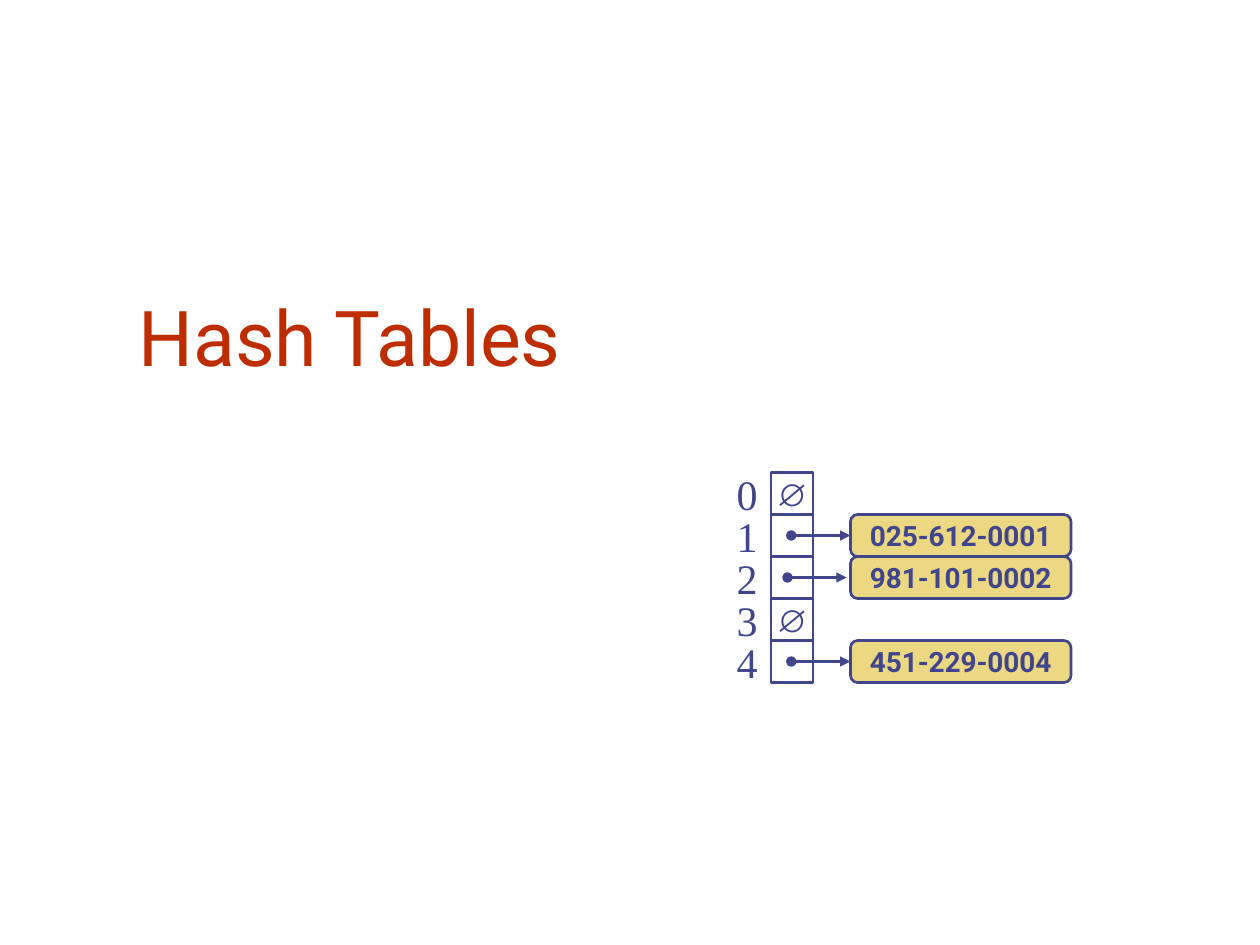
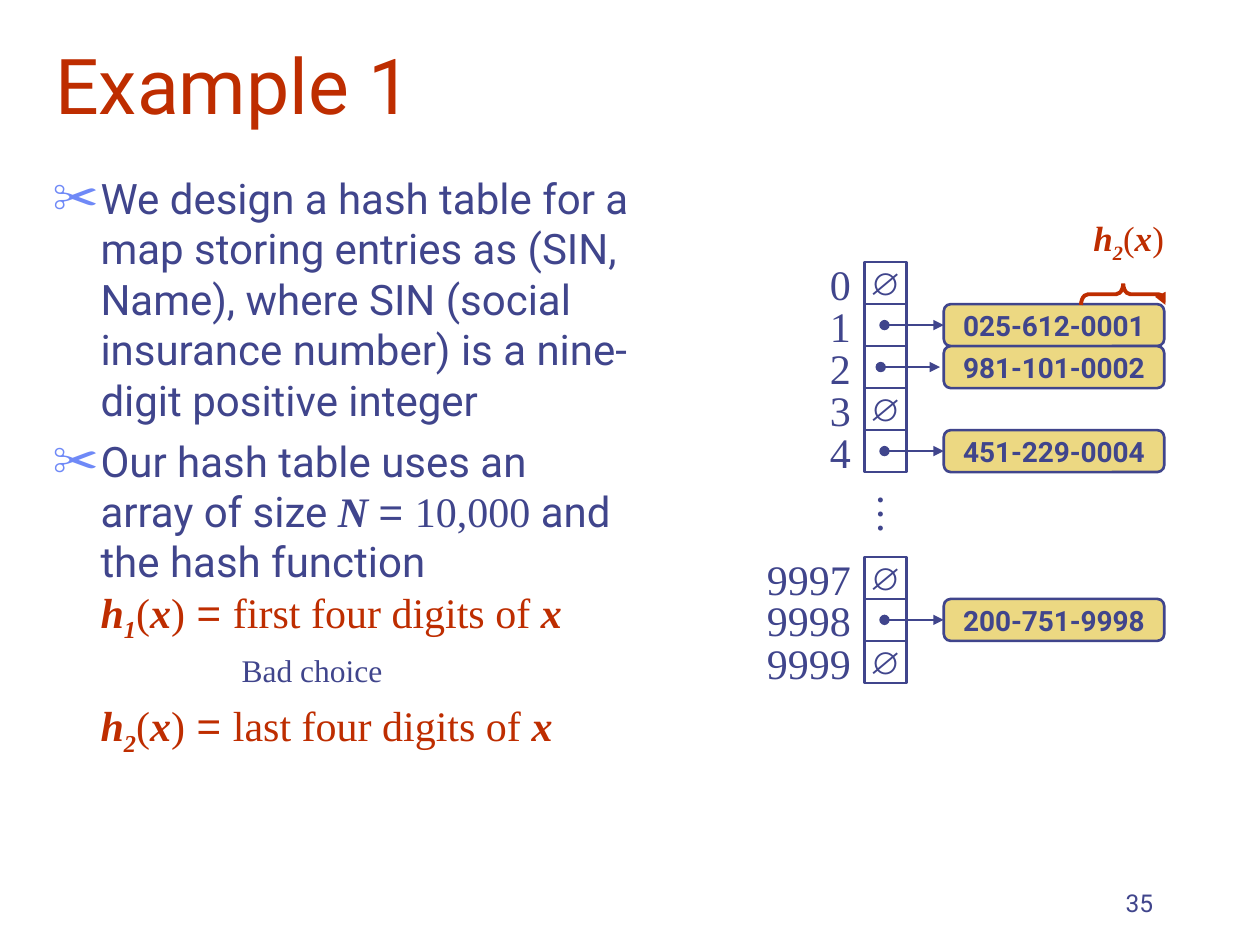
import dataclasses
import typing

import pptx
import pptx.dml.color
import pptx.enum.shapes
import pptx.enum.text
import pptx.oxml
import pptx.oxml.ns
import pptx.util

Inches = pptx.util.Inches
Pt = pptx.util.Pt
Shapes = pptx.enum.shapes.MSO_SHAPE
Align = pptx.enum.text.PP_ALIGN
Anchor = pptx.enum.text.MSO_ANCHOR
AutoSize = pptx.enum.text.MSO_AUTO_SIZE

COLORS = {"title": "BE2D00", "ink": "40458C", "entry": "ECD882", "bullet": "6F89F7"}
SANS, SERIF, SYMBOL = "Roboto", "Times New Roman", "Arial"
ROW = 1 / 3
LINE_WIDTH = 1.5


@dataclasses.dataclass(frozen=True)
class Span:
    """A stretch of text in one style."""
    text: str
    font: str = SANS
    size: float = 24
    color: str = "ink"
    bold: bool = False
    italic: bool = False
    subscript: bool = False
    break_after: bool = False


@dataclasses.dataclass(frozen=True)
class Block:
    """A paragraph with its layout."""
    spans: typing.Sequence[Span]
    align: typing.Any = Align.LEFT
    before: float = 0
    margin: float = 0
    indent: float = 0
    bullet: str = ""


@dataclasses.dataclass(frozen=True)
class Slot:
    """One row of the hash table; without a key it holds the empty sign."""
    index: str
    key: str = ""
    arrow_shift: float = 0


@dataclasses.dataclass(frozen=True)
class Box:
    left: float
    top: float
    width: float
    height: float

    def lengths(self) -> list:
        return [Inches(v) for v in (self.left, self.top, self.width, self.height)]


FIRST_SLOTS = [
    Slot("0"),
    Slot("1", "025-612-0001"),
    Slot("2", "981-101-0002", -0.03),
    Slot("3"),
    Slot("4", "451-229-0004"),
]
LAST_SLOTS = [Slot("9997"), Slot("9998", "200-751-9998"), Slot("9999")]


def rgb(name: str) -> pptx.dml.color.RGBColor:
    return pptx.dml.color.RGBColor.from_string(COLORS[name])


def drawing_element(tag: str, **attributes: str):
    element = pptx.oxml.parse_xml(f"<a:{tag} {pptx.oxml.ns.nsdecls('a')}/>")
    for name, value in attributes.items():
        element.set(name, value)
    return element


def set_values(target, values: dict) -> None:
    for name, value in values.items():
        setattr(target, name, value)


def add_bullet(properties, mark: str) -> None:
    color = drawing_element("buClr")
    color.append(drawing_element("srgbClr", val=COLORS["bullet"]))
    for part in (color, drawing_element("buSzPct", val="110000"),
                 drawing_element("buFont", typeface=SYMBOL),
                 drawing_element("buChar", char=mark)):
        properties.append(part)


def write(shape, blocks: typing.Sequence[Block], anchor=Anchor.TOP, wrap: bool = True) -> None:
    frame = shape.text_frame
    set_values(frame, {"word_wrap": wrap, "vertical_anchor": anchor})
    for number, block in enumerate(blocks):
        paragraph = frame.add_paragraph() if number else frame.paragraphs[0]
        set_values(paragraph, {"alignment": block.align, "space_before": Pt(block.before)})
        properties = paragraph._p.get_or_add_pPr()
        properties.set("marL", str(Inches(block.margin)))
        properties.set("indent", str(Inches(block.indent)))
        if block.bullet:
            add_bullet(properties, block.bullet)
        for span in block.spans:
            run = paragraph.add_run()
            run.text = span.text
            set_values(run.font, {"name": span.font, "size": Pt(span.size),
                                  "bold": span.bold, "italic": span.italic})
            run.font.color.rgb = rgb(span.color)
            if span.subscript:
                run._r.get_or_add_rPr().set("baseline", "-25000")
            if span.break_after:
                paragraph.add_line_break()


def add_text(slide, box: Box, blocks: typing.Sequence[Block], **layout):
    text = slide.shapes.add_textbox(*box.lengths())
    write(text, blocks, **layout)
    return text


def add_label(slide, box: Box, words: str):
    """Add a centred one-line text that never wraps."""
    label = add_text(slide, box, [Block([Span(words, SERIF)], Align.CENTER)], wrap=False)
    label.text_frame.auto_size = AutoSize.SHAPE_TO_FIT_TEXT
    return label


def add_title(slide, left: float, top: float, words: str) -> None:
    add_text(slide, Box(left, top, 8.5, 1.25),
             [Block([Span(words, size=44, color="title")])], anchor=Anchor.BOTTOM)


def add_outlined(slide, kind, box: Box, fill: str = "", line: str = "ink",
                 width: float = LINE_WIDTH):
    shape = slide.shapes.add_shape(kind, *box.lengths())
    shape.shadow.inherit = False
    shape.line.color.rgb = rgb(line)
    shape.line.width = Pt(width)
    if fill:
        shape.fill.solid()
        shape.fill.fore_color.rgb = rgb(fill)
    else:
        shape.fill.background()
    return shape


def add_pointer(slide, left: float, right: float, y: float) -> None:
    pointer = slide.shapes.add_connector(
        pptx.enum.shapes.MSO_CONNECTOR.STRAIGHT,
        Inches(left), Inches(y), Inches(right), Inches(y))
    pointer.line.color.rgb = rgb("ink")
    pointer.line.width = Pt(LINE_WIDTH)
    line = pointer.line._get_or_add_ln()
    line.append(drawing_element("headEnd", type="oval"))
    line.append(drawing_element("tailEnd", type="triangle"))
    pointer._element.spPr.append(drawing_element("effectLst"))


def add_hash_table(slide, left: float, top: float, slots: typing.Sequence[Slot]) -> None:
    """Draw index, cell and, where there is a key, pointer and entry of each slot."""
    for row, slot in enumerate(slots):
        y = top + row * ROW
        cell = add_outlined(slide, Shapes.RECTANGLE, Box(left, y, ROW, ROW))
        index_width = 0.38 if len(slot.index) == 1 else 0.88
        add_label(slide, Box(left - index_width, y - 0.08, index_width, 0.5), slot.index)
        if not slot.key:
            write(cell, [Block([Span("∅", SYMBOL, 18)], Align.CENTER)], Anchor.MIDDLE, False)
            continue
        entry_left = left + 0.63
        entry = add_outlined(slide, Shapes.ROUNDED_RECTANGLE,
                             Box(entry_left, y, 1.75, ROW), "entry")
        write(entry, [Block([Span(slot.key, size=16, bold=True)], Align.CENTER)],
              Anchor.MIDDLE, False)
        add_pointer(slide, left + 0.16 + slot.arrow_shift,
                    entry_left + slot.arrow_shift, y + ROW / 2)


def function_of_x(number: str, size: float = 24) -> list[Span]:
    def part(text: str, strong: bool = False, subscript: bool = False) -> Span:
        return Span(text, SERIF, size, "title", strong, strong, subscript)

    return [part("h", True), part(number, True, True), part("("), part("x", True), part(")")]


def definition(number: str, rule: str) -> list[Span]:
    return [*function_of_x(number), Span(" = ", SYMBOL, color="title"),
            Span(rule, SERIF, color="title"),
            Span("x", SERIF, color="title", bold=True, italic=True)]


def build_opening(slide) -> None:
    add_title(slide, 1, 1.83, "Hash Tables")
    add_hash_table(slide, 6.12, 3.75, FIRST_SLOTS)


def build_example(slide) -> None:
    add_title(slide, 0.34, -0.17, "Example 1")
    bulleted = {"before": 6, "margin": 0.38, "indent": -0.38, "bullet": "✂"}
    add_text(slide, Box(0.32, 1.32, 4.77, 5.27), [
        Block([Span("We design a hash table for a map storing entries as (SIN, Name), "
                    "where SIN (social insurance number) is a nine-digit positive integer")],
              **bulleted),
        Block([Span("Our hash table uses an array of size "),
               Span("N ", SERIF, bold=True, italic=True),
               Span("= ", SYMBOL),
               Span("10,000", SERIF),
               Span(" and the hash function", break_after=True),
               *definition("1", "first four digits of ")], **bulleted),
        Block([Span("Bad choice", SERIF, 18)], before=4.5, margin=1.75, indent=-0.25),
        Block(definition("2", "last four digits of "), before=6, margin=0.38),
    ])
    add_text(slide, Box(7.17, 6.83, 2.08, 0.5),
             [Block([Span("35", size=14)], Align.RIGHT)], anchor=Anchor.BOTTOM)

    add_hash_table(slide, 6.86, 2.08, FIRST_SLOTS)
    add_hash_table(slide, 6.86, 4.42, LAST_SLOTS)
    ellipsis = add_label(slide, Box(6.84, 3.83, 0.53, 0.5), "…")
    ellipsis.rotation = 90

    digits_brace = add_outlined(slide, Shapes.RIGHT_BRACE, Box(8.83, 2, 0.17, 0.67),
                                line="title", width=2.25)
    digits_brace.rotation = 270
    digits_brace.adjustments[0] = 0.33
    brace_line = digits_brace.line._get_or_add_ln()
    brace_line.append(drawing_element("miter", lim="800000"))
    brace_line.append(drawing_element("tailEnd", type="triangle"))
    add_text(slide, Box(8.58, 1.67, 0.83, 0.48),
             [Block(function_of_x("2", 20), before=12.5)])


def main() -> None:
    deck = pptx.Presentation()
    deck.slide_width, deck.slide_height = Inches(10), Inches(7.5)
    for build in (build_opening, build_example):
        build(deck.slides.add_slide(deck.slide_layouts[6]))
    deck.save("out.pptx")


if __name__ == "__main__":
    main()
